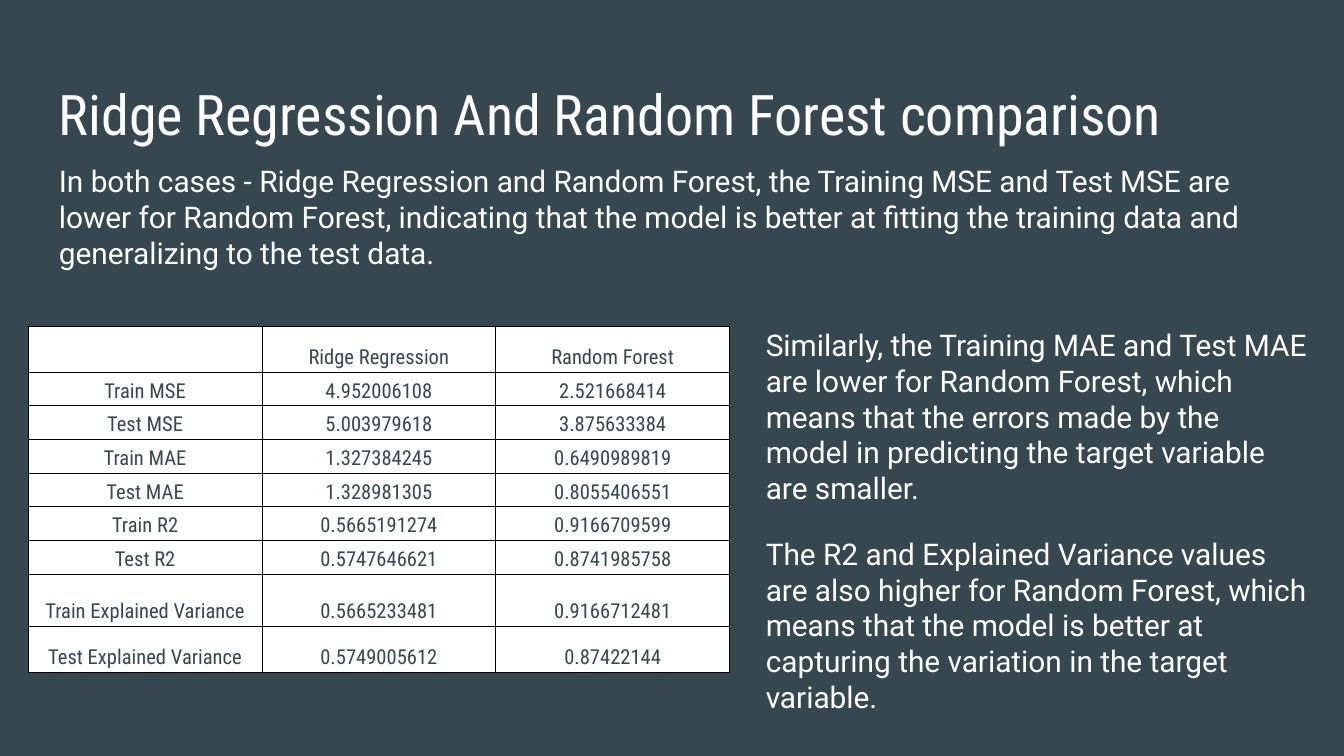
from dataclasses import dataclass

from lxml import etree
from pptx import Presentation
from pptx.dml.color import RGBColor
from pptx.enum.text import MSO_ANCHOR as Anchor, PP_ALIGN as Align
from pptx.oxml.ns import qn
from pptx.util import Inches, Pt

COLORS = {"slate": "37474F", "white": "FFFFFF", "black": "000000"}
BODY_FONT = "Roboto"
CONDENSED_FONT = "Roboto Condensed"


@dataclass
class TextBlock:
    left: float
    top: float
    width: float
    height: float
    paragraphs: list[str]
    font: str = BODY_FONT
    size: float = 16


TEXT_BLOCKS = [
    TextBlock(0.34, 0.49, 9.32, 0.63,
              ["Ridge Regression And Random Forest comparison"], CONDENSED_FONT, 30),
    TextBlock(0.34, 1.11, 9, 1.99, [
        "In both cases - Ridge Regression and Random Forest, the Training MSE and Test MSE "
        "are lower for Random Forest, indicating that the model is better at fitting the "
        "training data and generalizing to the test data."]),
    TextBlock(5.6, 2.33, 4.24, 3.04, [
        "Similarly, the Training MAE and Test MAE are lower for Random Forest, which means "
        "that the errors made by the model in predicting the target variable are smaller.",
        "The R2 and Explained Variance values are also higher for Random Forest, which means "
        "that the model is better at capturing the variation in the target variable."]),
]

SCORES = [
    ("", "Ridge Regression", "Random Forest"),
    ("Train MSE", "4.952006108", "2.521668414"),
    ("Test MSE", "5.003979618", "3.875633384"),
    ("Train MAE", "1.327384245", "0.6490989819"),
    ("Test MAE", "1.328981305", "0.8055406551"),
    ("Train R2", "0.5665191274", "0.9166709599"),
    ("Test R2", "0.5747646621", "0.8741985758"),
    ("Train Explained Variance", "0.5665233481", "0.9166712481"),
    ("Test Explained Variance", "0.5749005612", "0.87422144"),
]
COLUMN_WIDTH = 1.74
ROW_HEIGHTS = [0.34] + [0.25] * 6 + [0.39, 0.34]


def color(name: str) -> RGBColor:
    return RGBColor.from_string(COLORS[name])


def write(para, text: str, *, font: str, size: float, ink: str = "white",
          align=Align.LEFT, line_spacing: float = 1.0, before: float = 0) -> None:
    para.alignment = align
    para.line_spacing = line_spacing
    para.space_before = Pt(before)
    span = para.add_run()
    span.text = text
    span.font.name = font
    span.font.size = Pt(size)
    span.font.color.rgb = color(ink)


def add_text(page, block: TextBlock) -> None:
    box = page.shapes.add_textbox(Inches(block.left), Inches(block.top),
                                  Inches(block.width), Inches(block.height))
    frame = box.text_frame
    frame.word_wrap = True
    frame.margin_left = frame.margin_right = Inches(0.1)
    frame.margin_top = frame.margin_bottom = Inches(0.1)
    for index, text in enumerate(block.paragraphs):
        para = frame.add_paragraph() if index else frame.paragraphs[0]
        write(para, text, font=block.font, size=block.size,
              before=block.size if index else 0)


def add_borders(cell, ink: str, width: float) -> None:
    properties = cell._tc.get_or_add_tcPr()
    for side in ("a:lnL", "a:lnR", "a:lnT", "a:lnB"):
        line = etree.SubElement(properties, qn(side), w=str(Pt(width)))
        fill = etree.SubElement(line, qn("a:solidFill"))
        etree.SubElement(fill, qn("a:srgbClr"), val=COLORS[ink])


def add_score_table(page, left: float, top: float) -> None:
    columns = len(SCORES[0])
    table = page.shapes.add_table(
        len(SCORES), columns, Inches(left), Inches(top),
        Inches(COLUMN_WIDTH * columns), Inches(sum(ROW_HEIGHTS))).table
    table.first_row = table.horz_banding = False
    for column in table.columns:
        column.width = Inches(COLUMN_WIDTH)
    for row, height, texts in zip(table.rows, ROW_HEIGHTS, SCORES):
        row.height = Inches(height)
        for cell, text in zip(row.cells, texts):
            cell.margin_left = cell.margin_right = Inches(0.03)
            cell.margin_top = cell.margin_bottom = Inches(0.02)
            cell.vertical_anchor = Anchor.BOTTOM
            add_borders(cell, "black", 0.62)
            cell.fill.solid()
            cell.fill.fore_color.rgb = color("white")
            if text:
                write(cell.text_frame.paragraphs[0], text, font=CONDENSED_FONT, size=11,
                      ink="slate", align=Align.CENTER, line_spacing=1.15)


def main() -> None:
    # Widescreen page, 16 by 9
    deck = Presentation()
    deck.slide_width = Inches(10)
    deck.slide_height = deck.slide_width * 9 // 16
    page = deck.slides.add_slide(deck.slide_layouts[6])
    page.background.fill.solid()
    page.background.fill.fore_color.rgb = color("slate")

    # Title, introduction and side commentary
    for block in TEXT_BLOCKS:
        add_text(page, block)

    # Model scores
    add_score_table(page, 0.21, 2.43)

    deck.save("out.pptx")


if __name__ == "__main__":
    main()
